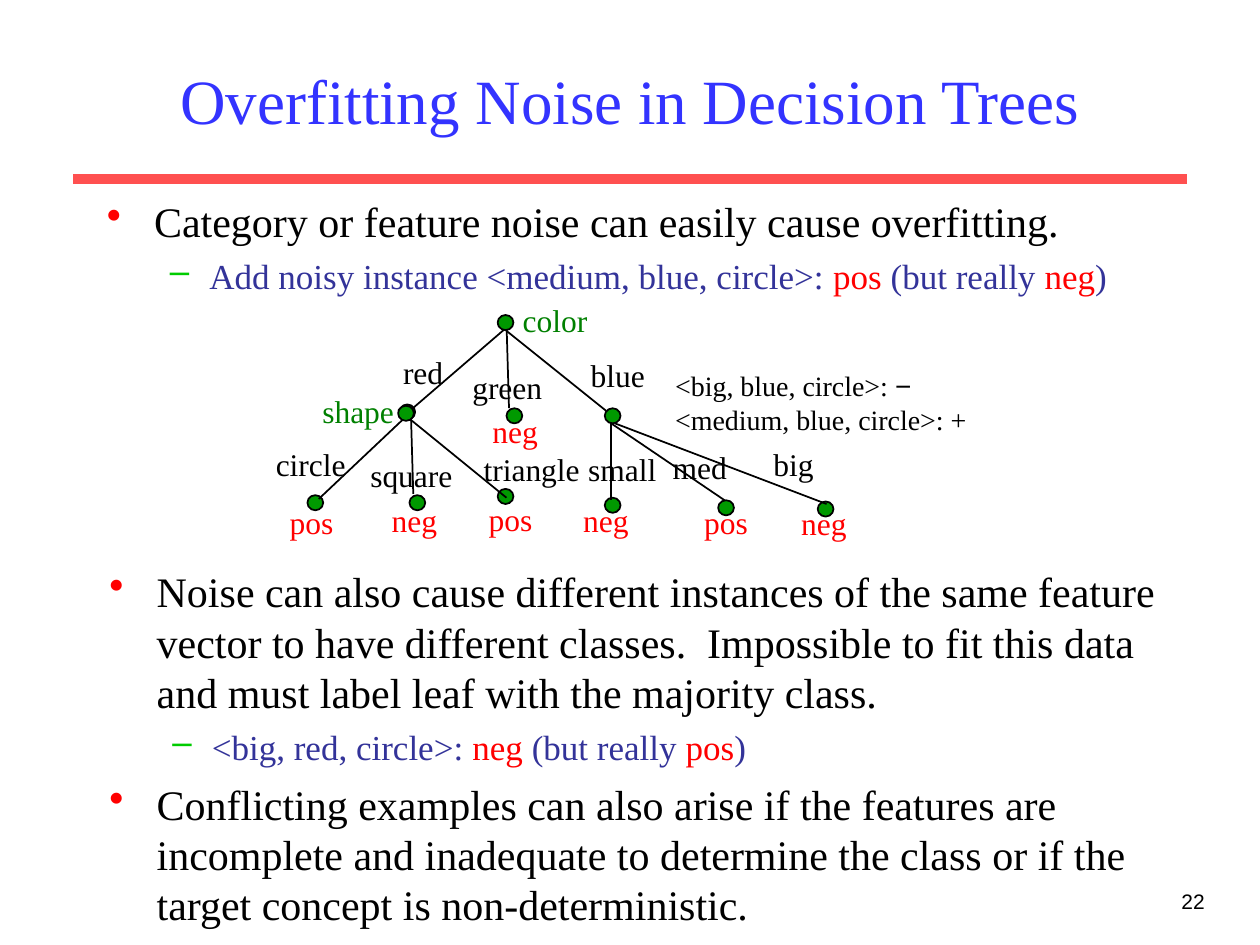
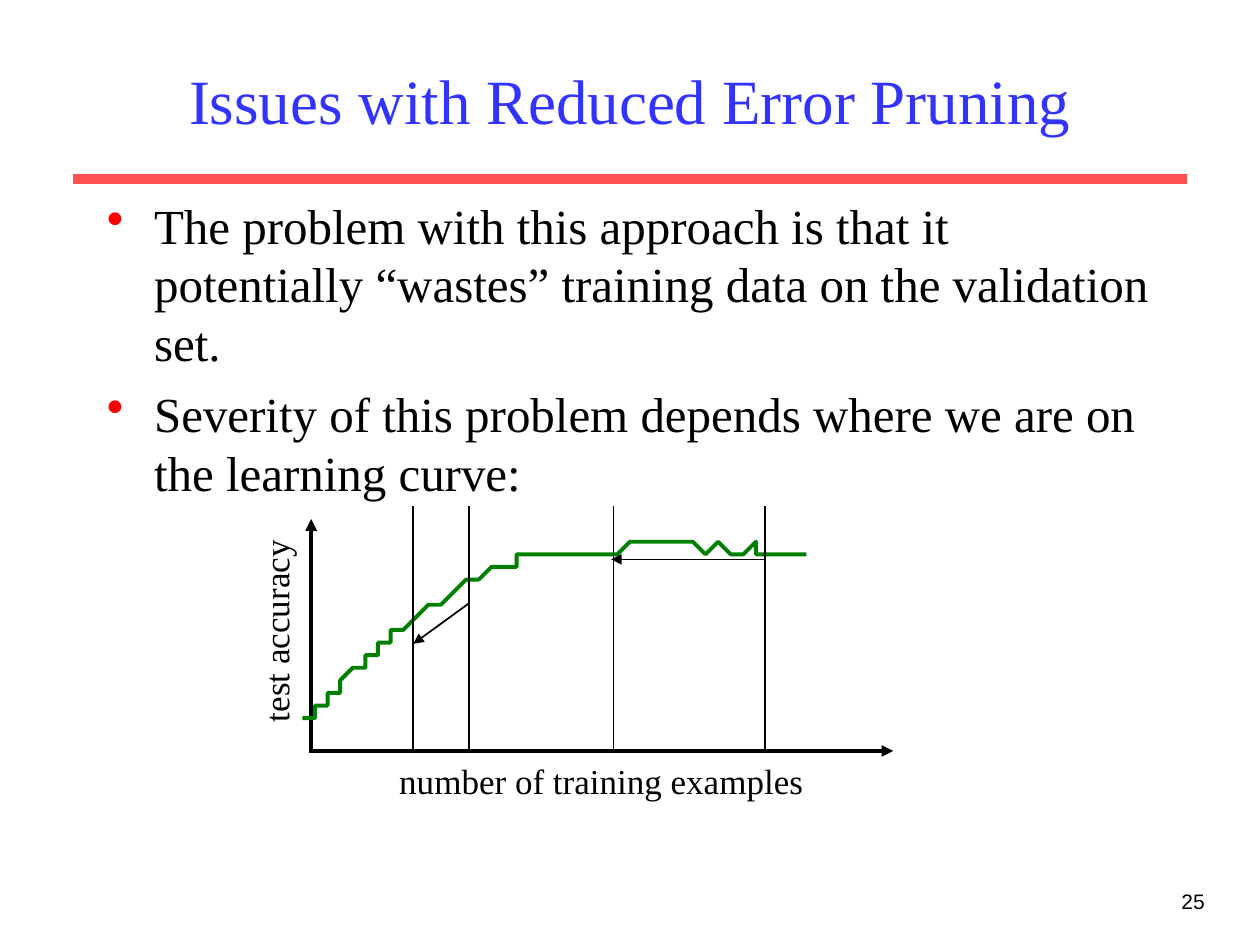
from lxml.etree import SubElement
from pptx import Presentation
from pptx.dml.color import RGBColor
from pptx.enum.shapes import MSO_CONNECTOR, MSO_SHAPE
from pptx.enum.text import MSO_ANCHOR, MSO_AUTO_SIZE, PP_ALIGN
from pptx.oxml.ns import qn
from pptx.util import Inches, Pt

BLACK = RGBColor(0x00, 0x00, 0x00)
TITLE_BLUE = RGBColor(0x33, 0x33, 0xFF)
SUB_BLUE = RGBColor(0x33, 0x33, 0x99)
RED = RGBColor(0xFF, 0x00, 0x00)
RULE_RED = RGBColor(0xFF, 0x50, 0x50)
DASH_GREEN = RGBColor(0x00, 0xCC, 0x00)
NODE_GREEN = RGBColor(0x00, 0x99, 0x00)
GREEN = RGBColor(0x00, 0x80, 0x00)

SERIF, SANS = "Times New Roman", "Arial"
COLS, ROWS = 100, 75  # square grid cells over the whole slide

# Bullet levels: character, colour, left margin and hanging indent in columns
LEVELS = [("•", RED, 3.75, 3.75), ("–", DASH_GREEN, 8.13, 3.13)]


class Deck:
    def __init__(self):
        self.prs = Presentation()
        self.prs.slide_width, self.prs.slide_height = Inches(10), Inches(7.5)
        self.cell = self.prs.slide_width // COLS
        self.s = None

    def grid(self, *cells):
        return [round(c * self.cell) for c in cells]

    def slide(self, title, number):
        """Start a slide with its rule, title and page number."""
        self.s = self.prs.slides.add_slide(self.prs.slide_layouts[6])
        self.line((5.8, 14.2), (94.2, 14.2), RULE_RED, 6)
        tf = self.box(7.5, 2.5, 85, 10.8).text_frame
        tf.vertical_anchor = MSO_ANCHOR.MIDDLE
        tf.paragraphs[0].alignment = PP_ALIGN.CENTER
        self.run(tf.paragraphs[0], title, 36, TITLE_BLUE)
        p = self.box(75.8, 70, 20.8, 5).text_frame.paragraphs[0]
        p.alignment = PP_ALIGN.RIGHT
        self.run(p, number, 12, font=SANS)

    def box(self, x, y, w, h, wrap=True):
        sp = self.s.shapes.add_textbox(*self.grid(x, y, w, h))
        sp.text_frame.word_wrap = wrap
        sp.text_frame.auto_size = MSO_AUTO_SIZE.NONE
        return sp

    def run(self, p, text, size, color=BLACK, font=SERIF):
        r = p.add_run()
        r.text = text
        r.font.size, r.font.name = Pt(size), font
        r.font.color.rgb = color

    def label(self, text, x, y, w, color=BLACK, size=18, h=4):
        sp = self.box(x, y, w, h, wrap=False)
        self.run(sp.text_frame.paragraphs[0], text, size, color)
        return sp

    def bullets(self, x, y, w, h, items, sizes=(24, 20)):
        """Each item is a level and its (text, colour) runs."""
        tf = self.box(x, y, w, h).text_frame
        for i, (level, runs) in enumerate(items):
            p = tf.paragraphs[0] if i == 0 else tf.add_paragraph()
            if i:
                p.space_before = Pt(sizes[level] / 4)
            char, color, margin, hang = LEVELS[level]
            pPr = p._p.get_or_add_pPr()
            left, indent = self.grid(margin, -hang)
            pPr.set("marL", str(left))
            pPr.set("indent", str(indent))
            clr = SubElement(pPr, qn("a:buClr"))
            SubElement(clr, qn("a:srgbClr")).set("val", str(color))
            SubElement(pPr, qn("a:buChar")).set("char", char)
            for text, ink in runs:
                self.run(p, text, sizes[level], ink)

    def line(self, start, end, color=BLACK, width=1, arrow=False):
        c = self.s.shapes.add_connector(
            MSO_CONNECTOR.STRAIGHT, *self.grid(*start, *end))
        c.line.color.rgb, c.line.width = color, Pt(width)
        SubElement(c._element.spPr, qn("a:effectLst"))
        if arrow:
            SubElement(c.line._ln, qn("a:tailEnd")).set("type", "triangle")

    def node(self, x, y):
        sp = self.s.shapes.add_shape(
            MSO_SHAPE.OVAL, *self.grid(x, y, 1.25, 1.2))
        sp.shadow.inherit = False
        sp.fill.solid()
        sp.fill.fore_color.rgb = NODE_GREEN
        sp.line.color.rgb, sp.line.width = BLACK, Pt(1)

    def curve(self, start, segments, color, width, steps=12):
        """Trace cubic Bezier segments, each two controls and an end."""
        points, a = [], start
        for b, c, d in segments:
            for t in (k / steps for k in range(1, steps + 1)):
                u = 1 - t
                points.append(tuple(
                    u**3 * a[i] + 3 * u * u * t * b[i]
                    + 3 * u * t * t * c[i] + t**3 * d[i] for i in (0, 1)))
            a = d
        builder = self.s.shapes.build_freeform(*start, scale=self.cell)
        builder.add_line_segments(points, close=False)
        sp = builder.convert_to_shape()
        sp.shadow.inherit = False
        sp.fill.background()
        sp.line.color.rgb, sp.line.width = color, Pt(width)


def noise_note(lead, given, actual):
    return (1, [(lead, SUB_BLUE), (given, RED), (" (but really ", SUB_BLUE),
                (actual, RED), (")", SUB_BLUE)])


def overfitting_slide(deck):
    deck.slide("Overfitting Noise in Decision Trees", "22")
    deck.bullets(7.5, 15, 85, 9.3, [
        (0, [("Category or feature noise can easily cause overfitting.", BLACK)]),
        noise_note("Add noisy instance <medium, blue, circle>: ", "pos", "neg"),
    ])

    # Tree: lower nodes, branches, then the nodes that cover their branches
    for x, y in [(31.7, 32.1), (24.4, 39.3), (32.5, 39.3), (39.5, 38.8),
                 (40.2, 32.4), (48, 32.4), (48, 39.5), (57, 39.7), (64.9, 39.8)]:
        deck.node(x, y)
    for start, end in [
            ((40.2, 26), (32.3, 32.8)), ((40.2, 25.6), (40.4, 32.4)),
            ((39.5, 25.7), (48.1, 32.6)), ((32.5, 32.8), (25.3, 39.6)),
            ((32.6, 32.4), (32.8, 39.2)), ((31.6, 32.5), (40.2, 39.5)),
            ((48.5, 33.5), (48.5, 39.7)), ((48.5, 33.6), (57.5, 39.7)),
            ((48.8, 33.6), (65.6, 40))]:
        deck.line(start, end)
    for x, y in [(39.5, 25), (31.6, 32.2)]:
        deck.node(x, y)

    # Features, branch values and leaf classes
    for color, labels in [
        (GREEN, [("color", 40.5, 23.4, 7.1), ("shape", 24.6, 30.6, 7.7)]),
        (BLACK, [("red", 31, 27.5, 5.2), ("green", 36.5, 28.7, 7.5),
                 ("blue", 45.9, 27.8, 6.3), ("circle", 20.9, 34.8, 7.5),
                 ("square", 28.4, 35.7, 8.5), ("triangle", 37.4, 35.2, 9.6),
                 ("small", 45.7, 35.2, 7.4), ("med", 52.4, 35.1, 6.3),
                 ("big", 60.4, 34.8, 5.2)]),
        (RED, [("neg", 38.1, 32.2, 5.6), ("pos", 22, 39.4, 5.4),
               ("neg", 30.1, 39.3, 5.6), ("pos", 37.8, 39.2, 5.4),
               ("neg", 45.3, 39.3, 5.6), ("pos", 54.9, 39.4, 5.4),
               ("neg", 62.6, 39.5, 5.6)]),
    ]:
        for text, x, y, w in labels:
            deck.label(text, x, y, w, color)

    # Conflicting instances
    tf = deck.label("<big, blue, circle>: ", 52.6, 28.8, 25.1, size=16, h=6.4).text_frame
    deck.run(tf.paragraphs[0], "−", 16, font=SANS)
    deck.run(tf.add_paragraph(), "<medium, blue, circle>: +", 16)

    deck.bullets(7.7, 44.4, 85, 30.6, [
        (0, [("Noise can also cause different instances of the same feature "
              "vector to have different classes.  Impossible to fit this data "
              "and must label leaf with the majority class.", BLACK)]),
        noise_note("<big, red, circle>: ", "neg", "pos"),
        (0, [("Conflicting examples can also arise if the features are "
              "incomplete and inadequate to determine the class or if the "
              "target concept is non-deterministic.", BLACK)]),
    ])


def pruning_slide(deck):
    deck.slide("Issues with Reduced Error Pruning", "25")
    deck.bullets(7.5, 15, 85, 51.3, [
        (0, [("The problem with this approach is that it potentially “wastes” "
              "training data on the validation set.", BLACK)]),
        (0, [("Severity of this problem depends where we are on the learning "
              "curve:", BLACK)]),
    ], sizes=(28, 20))

    # Axes and their names
    deck.line((24.7, 59.6), (24.7, 41.2), width=2.25, arrow=True)
    deck.line((24.5, 59.6), (70.9, 59.6), width=2.25, arrow=True)
    deck.label("test accuracy", 13.7, 47.9, 16.4, size=20, h=4.4).rotation = 270
    deck.label("number of training examples", 30.7, 59.8, 34.1, size=20, h=4.4)

    # Learning curve
    deck.curve((24.4, 57.1), [
        ((26.1, 55.2), (27.8, 53.4), (29.5, 51.9)),
        ((31.1, 50.4), (32.6, 49.3), (34.3, 48.2)),
        ((36, 47), (37.7, 45.7), (39.7, 45)),
        ((41.7, 44.2), (43.4, 43.9), (46.1, 43.7)),
        ((48.9, 43.4), (53.2, 43.5), (56.2, 43.5)),
        ((59.2, 43.5), (61.5, 43.5), (63.9, 43.5)),
    ], GREEN, 2.25)

    # Training sizes before and after holding out validation data
    for x in (32.8, 37.2, 48.7, 60.7):
        deck.line((x, 40.2), (x, 59.6))
    deck.line((37.2, 47.9), (32.8, 51.1), arrow=True)
    deck.line((60.7, 44.4), (48.5, 44.4), arrow=True)


def main():
    deck = Deck()
    overfitting_slide(deck)
    pruning_slide(deck)
    deck.prs.save("out.pptx")


if __name__ == "__main__":
    main()
